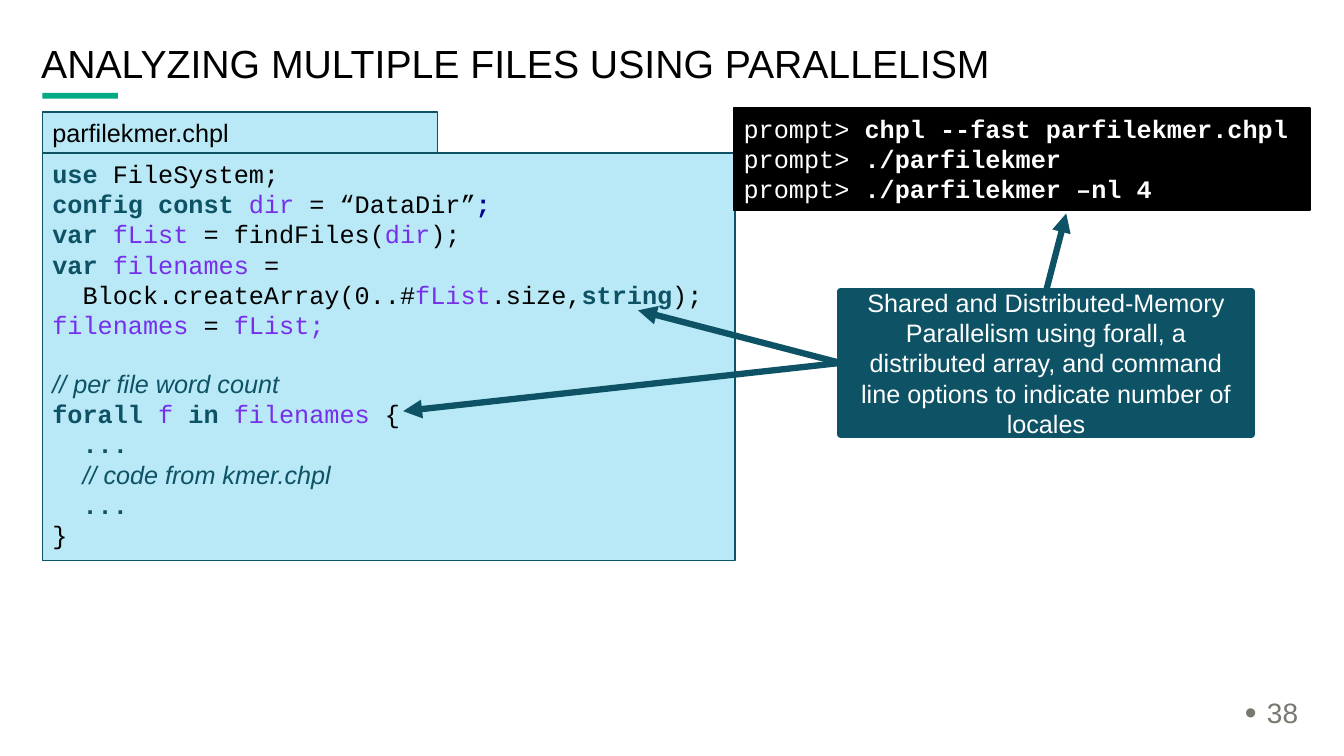
from lxml import etree
from pptx import Presentation
from pptx import util as u
from pptx.dml.color import RGBColor
from pptx.enum import shapes, text
from pptx.oxml.ns import qn

COLORS = {
    "accent": "01A982", "panel": "B9E9F6", "teal": "0D5265", "purple": "7630EA",
    "navy": "000090", "black": "000000", "white": "FFFFFF", "gray": "787871",
}

# Run styles: font, colour, bold, italic
STYLES = {
    "plain": ("Courier New", "black", False, False),
    "keyword": ("Courier New", "teal", True, False),
    "name": ("Courier New", "purple", False, False),
    "mark": ("Courier New", "navy", True, False),
    "comment": ("Arial", "teal", False, True),
    "prompt": ("Courier New", "white", False, False),
    "command": ("Courier New", "white", True, False),
    "label": ("Arial", "black", False, False),
    "callout": ("Arial", "white", False, False),
    "number": ("Arial", "gray", False, False),
}

CODE = [
    [("use ", "keyword"), ("FileSystem;", "plain")],
    [("config const ", "keyword"), ("dir", "name"), (" = “DataDir”", "plain"), (";", "mark")],
    [("var ", "keyword"), ("fList ", "name"), ("= findFiles(", "plain"),
     ("dir", "name"), (");", "plain")],
    [("var ", "keyword"), ("filenames ", "name"), ("=", "plain")],
    [("  Block.createArray(0..#", "plain"), ("fList", "name"), (".size,", "plain"),
     ("string", "keyword"), (");", "plain")],
    [("filenames ", "name"), ("= ", "plain"), ("fList;", "name")],
    [("// per file word count", "comment")],
    [("forall ", "keyword"), ("f ", "name"), ("in ", "keyword"),
     ("filenames ", "name"), ("{", "plain")],
    [("  ...", "keyword")],
    [("  ", "keyword"), ("// code from kmer.chpl", "comment")],
    [("  ...", "keyword")],
    [("}", "plain")],
]
COMMANDS = ["chpl --fast parfilekmer.chpl", "./parfilekmer", "./parfilekmer –nl 4"]
CALLOUT = ("Shared and Distributed-Memory Parallelism using forall, a distributed array, "
           "and command line options to indicate number of locales")


def color(name):
    return RGBColor.from_string(COLORS[name])


def write(shape, lines, size=18, anchor=text.MSO_ANCHOR.TOP, align=text.PP_ALIGN.LEFT):
    """Fill a shape with lines, each a list of (wording, style) runs."""
    frame = shape.text_frame
    frame.word_wrap = True
    frame.vertical_anchor = anchor
    for index, line in enumerate(lines):
        paragraph = frame.add_paragraph() if index else frame.paragraphs[0]
        paragraph.alignment = align
        for wording, style in line:
            run = paragraph.add_run()
            run.text = wording
            font, tint, bold, italic = STYLES[style]
            run.font.name, run.font.size = font, u.Pt(size)
            run.font.bold, run.font.italic = bold, italic
            run.font.color.rgb = color(tint)
    return frame.paragraphs


def add_box(slide, box, fill, line=None, width=1, kind=shapes.MSO_SHAPE.RECTANGLE):
    shape = slide.shapes.add_shape(kind, *map(u.Cm, box))
    shape.shadow.inherit = False
    shape.fill.solid()
    shape.fill.fore_color.rgb = color(fill)
    if line:
        shape.line.color.rgb = color(line)
        shape.line.width = u.Pt(width)
    else:
        shape.line.fill.background()
    return shape


def add_label(slide, box, wording, style, size):
    shape = slide.shapes.add_textbox(*map(u.Cm, box))
    paragraph = write(shape, [[(wording, style)]], size, text.MSO_ANCHOR.MIDDLE)[0]
    paragraph.line_spacing = 0.9
    return paragraph


def add_bullet(paragraph):
    properties = paragraph._p.get_or_add_pPr()
    properties.set("marL", str(u.Cm(0.56)))
    properties.set("indent", str(-u.Cm(0.56)))
    etree.SubElement(properties, qn("a:buSzPct")).set("val", "120000")
    etree.SubElement(properties, qn("a:buFont")).set("typeface", "Arial")
    etree.SubElement(properties, qn("a:buChar")).set("char", "•")


def add_arrow(slide, start, end):
    arrow = slide.shapes.add_connector(
        shapes.MSO_CONNECTOR.STRAIGHT, *map(u.Cm, start + end))
    arrow.line.color.rgb = color("teal")
    arrow.line.width = u.Pt(4.5)
    etree.SubElement(arrow.line._get_or_add_ln(), qn("a:tailEnd")).set("type", "triangle")
    etree.SubElement(arrow._element.spPr, qn("a:effectLst"))


def main():
    presentation = Presentation()
    presentation.slide_width, presentation.slide_height = u.Cm(33.87), u.Cm(19.05)
    slide = presentation.slides.add_slide(presentation.slide_layouts[6])

    # Title with accent bar
    add_box(slide, (1.07, 2.34, 1.9, 0.15), "accent")
    add_label(slide, (0.79, 1.09, 31.75, 1.12),
              "ANALYZING MULTIPLE FILES USING PARALLELISM", "label", 28)

    # Code panel; the comment on the loop stands one line apart
    panel = add_box(slide, (1.07, 3.86, 17.45, 10.26), "panel", "teal")
    code_lines = write(panel, CODE)
    code_lines[6].space_before = u.Pt(20.5)

    # Page number
    add_bullet(add_label(slide, (31.12, 17.5, 1.9, 1.02), "38", "number", 20))

    # File name tab
    tab = add_box(slide, (1.07, 2.82, 9.96, 1.02), "panel", "teal")
    write(tab, [[("parfilekmer.chpl", "label")]])

    # Terminal
    terminal = add_box(slide, (18.49, 2.72, 14.53, 2.57), "black", "black")
    write(terminal, [[("prompt> ", "prompt"), (command, "command")] for command in COMMANDS])

    # Callout and its arrows
    left, top, width, height = callout_box = (21.18, 7.34, 10.36, 3.61)
    callout = add_box(slide, callout_box, "teal", "teal", 4.5,
                      shapes.MSO_SHAPE.FLOWCHART_PROCESS)
    write(callout, [[(CALLOUT, "callout")]], anchor=text.MSO_ANCHOR.MIDDLE,
          align=text.PP_ALIGN.CENTER)
    left_middle = (left, top + height / 2)
    top_middle = (left + width / 2, top)
    add_arrow(slide, left_middle, (10.16, 10.36))
    add_arrow(slide, top_middle, (26.87, 5.38))
    add_arrow(slide, left_middle, (16.08, 7.82))

    presentation.save("out.pptx")


if __name__ == "__main__":
    main()
